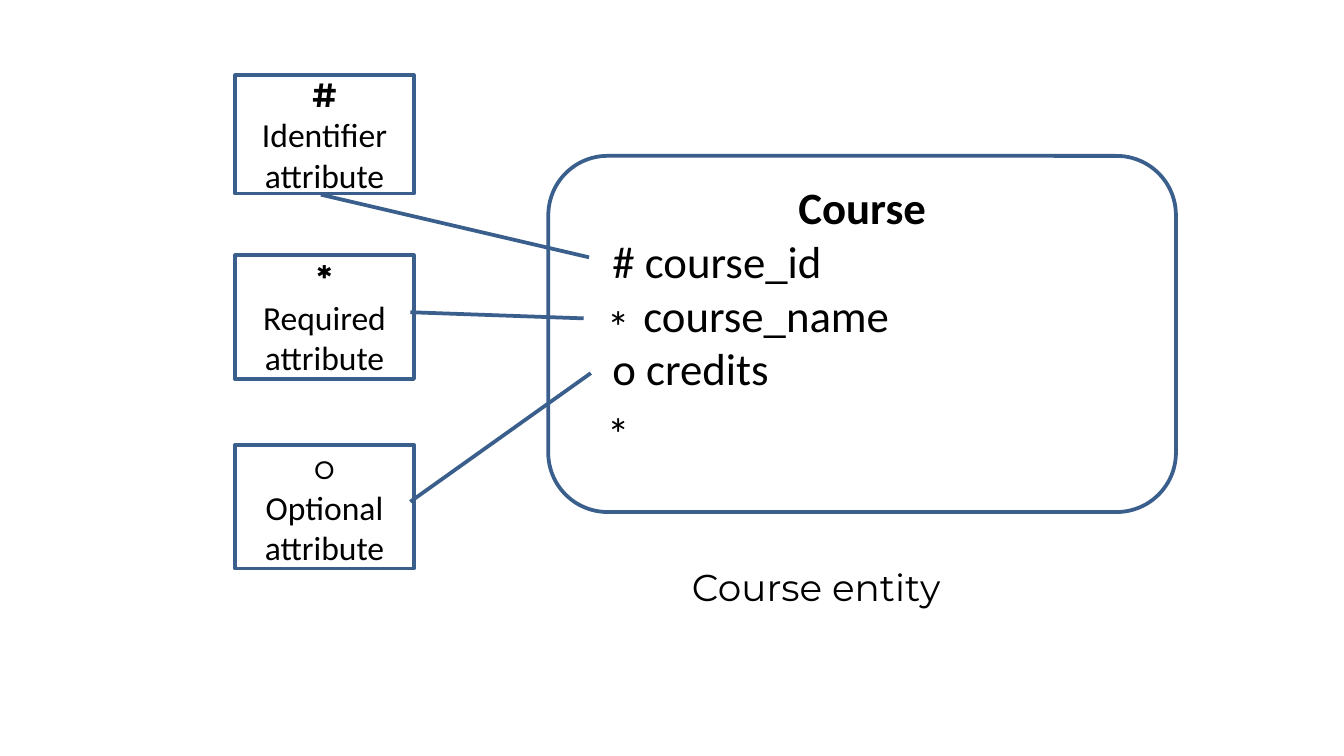
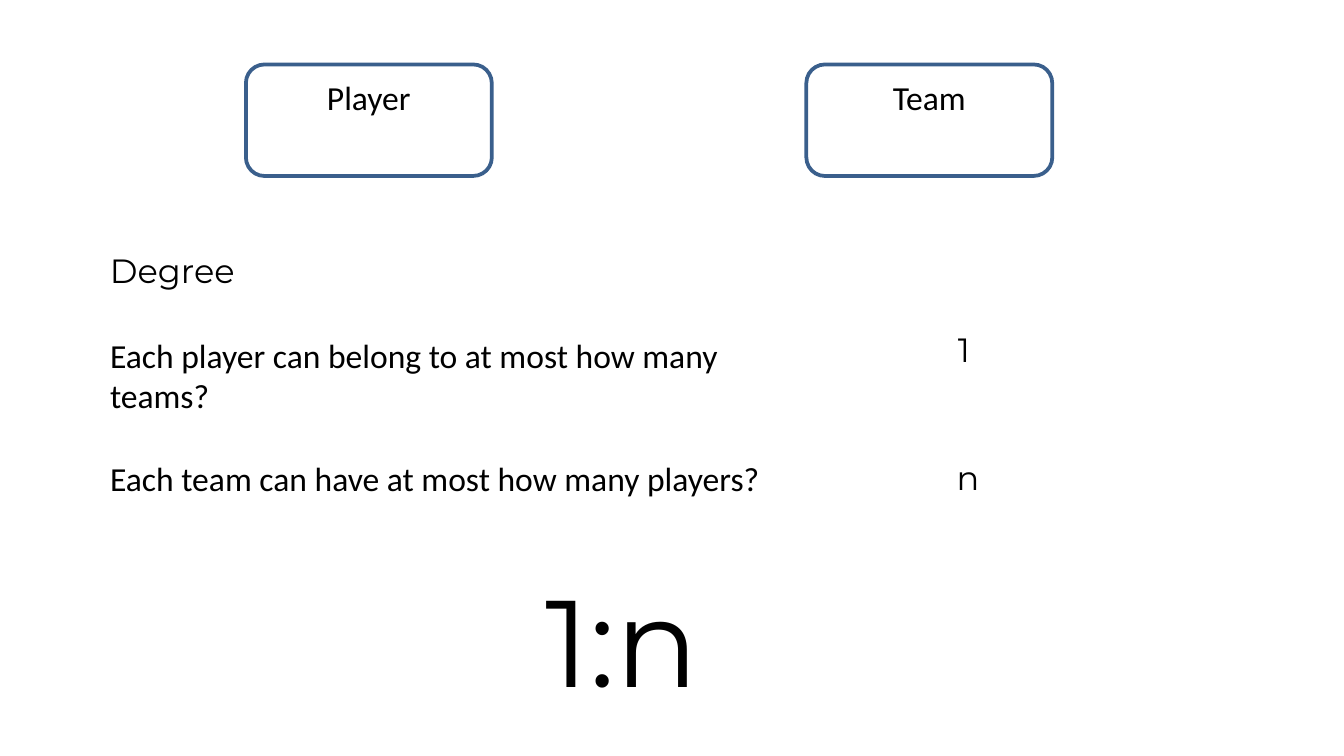
from dataclasses import dataclass

from lxml import etree
from pptx import Presentation
from pptx.dml.color import RGBColor
from pptx.enum.shapes import MSO_SHAPE
from pptx.enum.text import MSO_ANCHOR, MSO_AUTO_SIZE, PP_ALIGN
from pptx.oxml.ns import qn
from pptx.util import Inches, Pt

ROUNDED, CALLOUT = MSO_SHAPE.ROUNDED_RECTANGLE, MSO_SHAPE.LINE_CALLOUT_1
LEFT, CENTER = PP_ALIGN.LEFT, PP_ALIGN.CENTER
TOP, MIDDLE = MSO_ANCHOR.TOP, MSO_ANCHOR.MIDDLE
GROW = MSO_AUTO_SIZE.SHAPE_TO_FIT_TEXT


@dataclass(frozen=True)
class Theme:
    ink: RGBColor = RGBColor(0x00, 0x00, 0x00)
    outline: RGBColor = RGBColor(0x3A, 0x5F, 0x8C)
    outline_width: float = 2
    body_font: str = "Calibri"
    accent_font: str = "Montserrat"
    body: int = 18
    caption: int = 20
    entity: int = 24
    ratio: int = 66


THEME = Theme()

# Course entity: attribute lines with their tab stop
COURSE_FRAME = (4.08, 1.16, 4.67, 2.65)
COURSE_NAME = "Course"
COURSE_ATTRIBUTES = [("# course_id", 0.25), ("course_name", 0.48), ("o credits", 0.25)]
COURSE_CAPTION = ("Course entity", (5.05, 4.15, 2.27, 0.44))
STAR_TOPS = [2.17, 2.97]

# Callouts: symbol, bold, meaning, top, height, leader (start y, x, end y, x)
CALLOUT_LEFT, CALLOUT_WIDTH = 1.75, 1.33
CALLOUTS = [
    ("#", True, "Identifier attribute", 0.56, 0.88, (1.01, 0.48, 1.54, 1.98)),
    ("*", True, "Required attribute", 1.90, 0.92, (0.46, 0.98, 0.51, 1.95)),
    ("o", False, "Optional attribute", 3.31, 0.92, (0.46, 0.98, -0.58, 1.99)),
]

# Degree of the relationship
ENTITIES = [("Player", 1.83), ("Team", 6.00)]
DEGREE_HEADING = ("Degree", (0.72, 1.81, 6.33, 0.4))
QUESTIONS = [
    ("Each player can belong to at most how many teams?", (0.72, 2.44, 5.12, 0.71)),
    ("Each team can have at most how many players?", (0.72, 3.36, 5.62, 0.4)),
]
ANSWERS = [("1", (7.03, 2.40, 0.64, 0.4)), ("n", (7.02, 3.35, 0.81, 0.4))]
RATIO = ("1:n", (3.96, 4.15, 1.74, 1.21))


def write(frame, text, font=THEME.body_font, size=THEME.body, bold=False,
          align=LEFT, tab=None, first=True):
    """Fill the first paragraph of a frame, or append another one."""
    para = frame.paragraphs[0] if first else frame.add_paragraph()
    para.alignment = align
    if tab is not None:
        stops = etree.SubElement(para._p.get_or_add_pPr(), qn("a:tabLst"))
        etree.SubElement(stops, qn("a:tab"), pos=str(Inches(tab)), algn="l")
        text = "\t" + text
    span = para.add_run()
    span.text = text
    span.font.name = font
    span.font.size = Pt(size)
    span.font.bold = bold
    span.font.color.rgb = THEME.ink


def add_text(page, text, place, wrap=True, **style):
    box = page.shapes.add_textbox(*map(Inches, place))
    box.text_frame.word_wrap = wrap
    box.text_frame.auto_size = GROW
    write(box.text_frame, text, **style)


def add_outline(page, kind, place, anchor=TOP):
    shape = page.shapes.add_shape(kind, *map(Inches, place))
    shape.shadow.inherit = False
    shape.fill.background()
    shape.line.color.rgb = THEME.outline
    shape.line.width = Pt(THEME.outline_width)
    shape.text_frame.word_wrap = True
    shape.text_frame.vertical_anchor = anchor
    return shape


def add_callout(page, symbol, bold, meaning, top, height, leader):
    place = (CALLOUT_LEFT, top, CALLOUT_WIDTH, height)
    shape = add_outline(page, CALLOUT, place, MIDDLE)
    for index, value in enumerate(leader):
        shape.adjustments[index] = value
    write(shape.text_frame, symbol, font=THEME.accent_font, bold=bold, align=CENTER)
    write(shape.text_frame, meaning, align=CENTER, first=False)


def build_course(page):
    frame = add_outline(page, ROUNDED, COURSE_FRAME).text_frame
    write(frame, COURSE_NAME, size=THEME.entity, bold=True, align=CENTER)
    for attribute, tab in COURSE_ATTRIBUTES:
        write(frame, attribute, size=THEME.entity, tab=tab, first=False)
    add_text(page, *COURSE_CAPTION, wrap=False, font=THEME.accent_font,
             size=THEME.caption)
    for callout in CALLOUTS:
        add_callout(page, *callout)
    for top in STAR_TOPS:
        add_text(page, "*", (4.42, top, 0.37, 0.5), wrap=False, size=THEME.entity)


def build_degree(page):
    for name, left in ENTITIES:
        shape = add_outline(page, ROUNDED, (left, 0.48, 1.83, 0.83))
        write(shape.text_frame, name, align=CENTER)
    add_text(page, *DEGREE_HEADING, font=THEME.accent_font)
    for question in QUESTIONS:
        add_text(page, *question)
    for answer in ANSWERS:
        add_text(page, *answer, font=THEME.accent_font)
    add_text(page, *RATIO, wrap=False, font=THEME.accent_font, size=THEME.ratio)


def main():
    deck = Presentation()
    deck.slide_width = Inches(10)
    deck.slide_height = deck.slide_width * 9 // 16
    blank = deck.slide_layouts[6]
    for build in (build_course, build_degree):
        build(deck.slides.add_slide(blank))
    deck.save("out.pptx")


if __name__ == "__main__":
    main()
